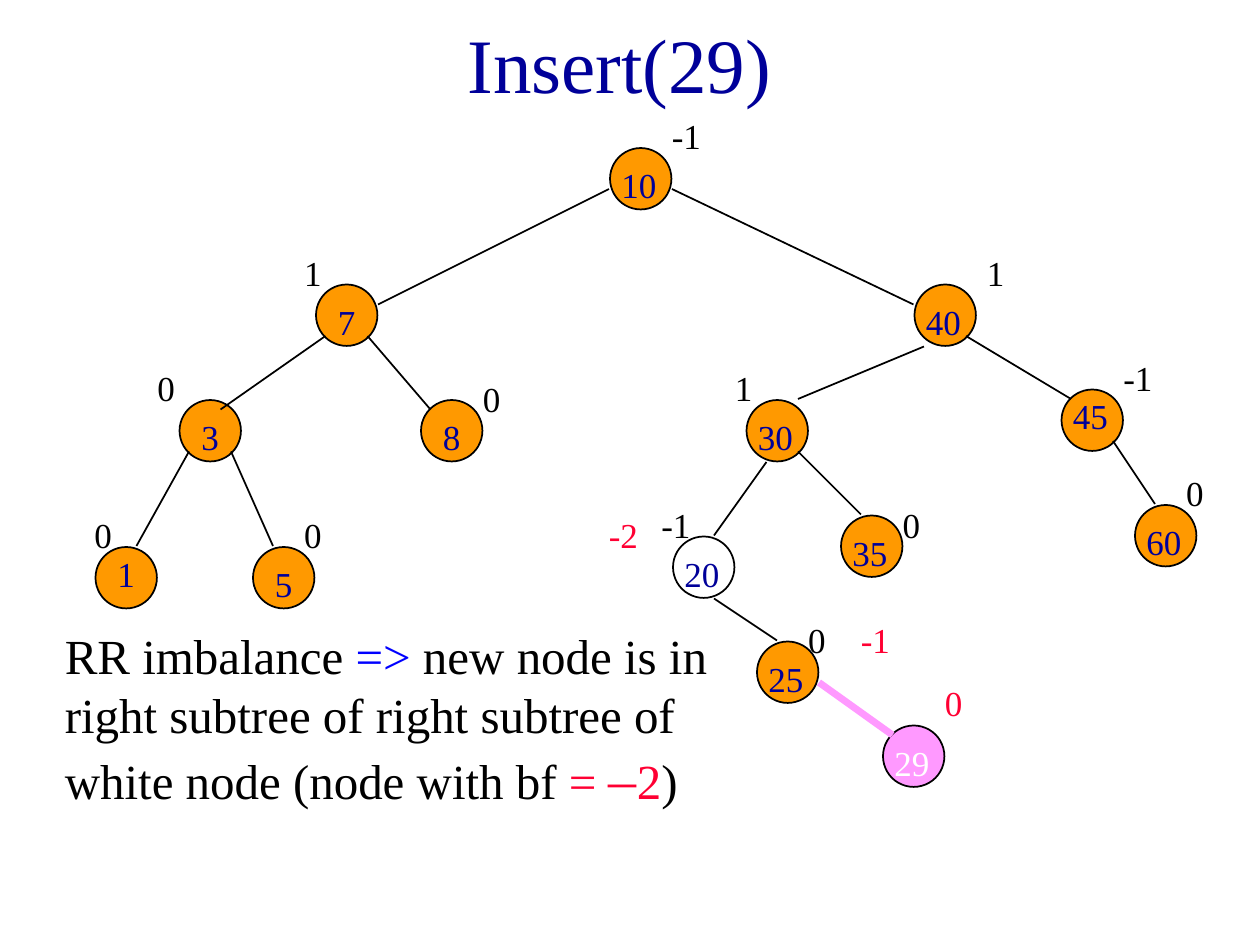
from collections import namedtuple

from pptx import Presentation, util as u
from pptx.dml.color import RGBColor
from pptx.enum import shapes, text
from pptx.oxml.ns import qn
from lxml import etree

FONT = "Times New Roman"
NAVY, BLACK, WHITE, ORANGE = "000099", "000000", "FFFFFF", "FF9900"
PINK, RED, BLUE = "FF99FF", "FF0033", "0000FF"
COLUMNS, ROWS = 120, 90

Box = namedtuple("Box", "left top width height")
# drop: rows from the circle's top to its key; factors: (text, columns, rows, colour)
Node = namedtuple("Node", "key column row factors fill ink drop",
                  defaults=(ORANGE, NAVY, 1))

NODES = [
    Node("10", 58, 14, [("-1", 5, -4, BLACK)]),
    Node("7", 30, 27, [("1", -2, -4, BLACK)]),
    Node("40", 87, 27, [("1", 6, -4, BLACK)]),
    Node("3", 17, 38, [("0", -3, -4, BLACK)]),
    Node("8", 40, 38, [("0", 5, -3, BLACK)]),
    Node("30", 71, 38, [("1", -2, -4, BLACK)]),
    Node("45", 101, 37, [("-1", 5, -4, BLACK)], drop=0),
    Node("1", 9, 52, [("0", -1, -4, BLACK)], drop=0),
    Node("5", 24, 52, [("0", 4, -4, BLACK)]),
    Node("20", 64, 51, [("-1", -2, -4, BLACK), ("-2", -7, -3, RED)], fill=WHITE),
    Node("35", 80, 49, [("0", 5, -2, BLACK)]),
    Node("60", 108, 48, [("0", 4, -4, BLACK)]),
    Node("25", 72, 61, [("0", 4, -3, BLACK), ("-1", 9, -3, RED)]),
    Node("29", 84, 69, [("0", 5, -5, RED)], fill=PINK, ink=WHITE),
]
# Start column and row, end column and row
EDGES = [
    (58, 18, 36, 29), (64, 18, 87, 29), (31, 32, 21, 39), (35, 32, 41, 39),
    (88, 33, 76, 38), (92, 32, 102, 38), (18, 43, 13, 52), (22, 43, 26, 52),
    (73, 44, 68, 51), (76, 43, 82, 49), (106, 42, 110, 48), (68, 57, 74, 61),
]
NEW_EDGE = (78, 65, 85, 70)


def color(code):
    return RGBColor.from_string(code)


def cells(box, column, row, width=0, height=0):
    """Turn grid columns and rows inside a box into left, top, width, height."""
    across, down = box.width / COLUMNS, box.height / ROWS
    return Box(int(box.left + column * across), int(box.top + row * down),
               int(width * across), int(height * down))


def add_run(paragraph, words, size, ink):
    run = paragraph.add_run()
    run.text = words
    run.font.name = FONT
    run.font.size = u.Pt(size)
    run.font.color.rgb = color(ink)


def add_text(slide, place, runs, wrap=True, before=0):
    frame = slide.shapes.add_textbox(*place).text_frame
    frame.word_wrap = wrap
    frame.auto_size = text.MSO_AUTO_SIZE.SHAPE_TO_FIT_TEXT
    paragraph = frame.paragraphs[0]
    paragraph.space_before = u.Pt(before)
    for run in runs:
        add_run(paragraph, *run)


def add_circle(slide, box, node):
    place = cells(box, node.column + 0.1, node.row + 0.1, 5.85, 5.85)
    circle = slide.shapes.add_shape(shapes.MSO_SHAPE.OVAL, *place)
    circle.shadow.inherit = False
    circle.fill.solid()
    circle.fill.fore_color.rgb = color(node.fill)
    circle.line.color.rgb = color(BLACK)
    circle.line.width = u.Pt(1)


def add_edge(slide, box, edge, ink=BLACK, weight=1):
    start, end = cells(box, *edge[:2]), cells(box, *edge[2:])
    line = slide.shapes.add_connector(shapes.MSO_CONNECTOR.STRAIGHT,
                                      *start[:2], *end[:2])
    line.line.color.rgb = color(ink)
    line.line.width = u.Pt(weight)
    etree.SubElement(line._element.spPr, qn("a:effectLst"))


def add_key(slide, box, node):
    indent = 1 if len(node.key) == 1 else 0
    place = cells(box, node.column + indent, node.row + node.drop, 6, 5.2)
    add_text(slide, place, [(node.key, 20, node.ink)], before=12.5)


def add_factors(slide, box, node):
    """Write the balance factors beside a node."""
    for factor, right, down, ink in node.factors:
        width = 4.1 if len(factor) == 1 else 5.2
        place = cells(box, node.column + right - 0.2,
                      node.row + down + 0.35, width, 5.2)
        add_text(slide, place, [(factor, 20, ink)], wrap=False)


def add_tree(slide, box):
    for node in NODES:
        add_circle(slide, box, node)
    for edge in EDGES:
        add_edge(slide, box, edge)
    add_edge(slide, box, NEW_EDGE, PINK, 4)
    for node in NODES:
        add_key(slide, box, node)
        add_factors(slide, box, node)


def add_title(slide, box):
    title = slide.shapes.title
    title.left, title.top, title.width, title.height = box
    frame = title.text_frame
    frame.auto_size = text.MSO_AUTO_SIZE.NONE
    frame.vertical_anchor = text.MSO_ANCHOR.MIDDLE
    paragraph = frame.paragraphs[0]
    paragraph.alignment = text.PP_ALIGN.CENTER
    add_run(paragraph, "Insert(29)", 44, NAVY)


def add_explanation(slide, box):
    add_text(slide, box, [
        ("RR imbalance", 28, BLACK),
        (" =>", 28, BLUE),
        (" new node is in right subtree of right subtree of "
         "white node (node with bf ", 28, BLACK),
        ("= ", 28, RED),
        ("–", 32, RED),
        ("2", 28, RED),
        (")", 28, BLACK),
    ], before=17.5)


def main():
    deck = Presentation()
    deck.slide_width, deck.slide_height = u.Inches(10), u.Inches(7.5)
    slide = deck.slides.add_slide(deck.slide_layouts[5])
    page = Box(0, 0, deck.slide_width, deck.slide_height)
    add_title(slide, cells(page, 8, 0, 102, 12))
    add_tree(slide, page)
    add_explanation(slide, cells(page, 5, 59, 65, 18.8))
    deck.save("out.pptx")


if __name__ == "__main__":
    main()
